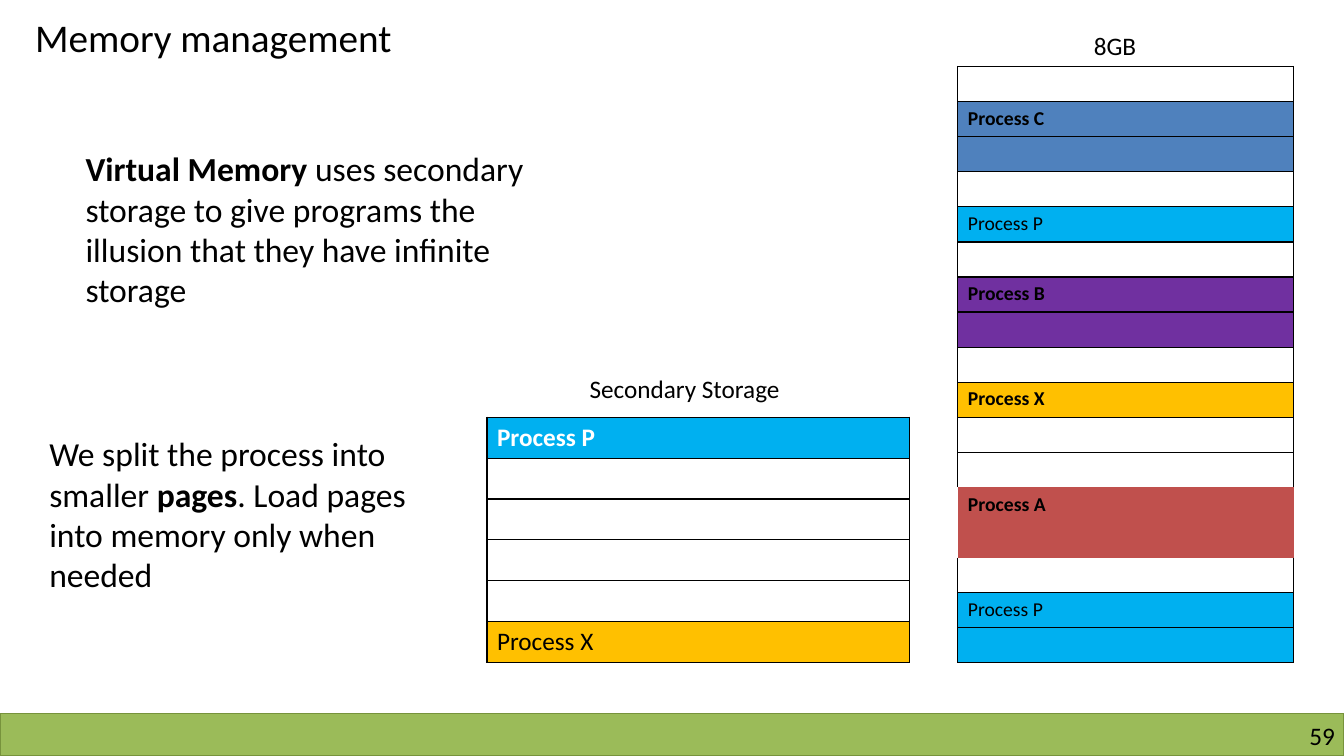
from dataclasses import dataclass

from lxml.etree import SubElement
from pptx import Presentation
from pptx.dml.color import RGBColor
from pptx.enum.shapes import MSO_SHAPE
from pptx.enum.text import PP_ALIGN
from pptx.oxml.ns import qn
from pptx.util import Inches, Pt


@dataclass(frozen=True)
class Theme:
    """Colours, font and type sizes of the slide."""
    font: str = "Calibri"
    title: int = 28
    body: int = 24
    label: int = 18
    memory: int = 14
    black: str = "000000"
    white: str = "FFFFFF"
    green: str = "9BBB59"
    dark_green: str = "77933C"
    blue: str = "4F81BD"
    sky: str = "00B0F0"
    purple: str = "7030A0"
    amber: str = "FFC000"
    red: str = "C0504D"


THEME = Theme()
BORDER_SIDES = {"left": "a:lnL", "right": "a:lnR", "top": "a:lnT", "bottom": "a:lnB"}


def write_run(paragraph, text, size=THEME.label, color=THEME.black, bold=False):
    """Add one formatted run of text to a paragraph."""
    run = paragraph.add_run()
    run.text = text
    run.font.name = THEME.font
    run.font.size = Pt(size)
    run.font.bold = bold
    run.font.color.rgb = RGBColor.from_string(color)


def add_text(slide, box, runs, size=THEME.label, align=PP_ALIGN.LEFT, inset=True):
    """Add a wrapped text box holding (text, bold) runs."""
    frame = slide.shapes.add_textbox(*map(Inches, box)).text_frame
    frame.word_wrap = True
    if not inset:
        frame.margin_left = frame.margin_right = 0
        frame.margin_top = frame.margin_bottom = 0
    paragraph = frame.paragraphs[0]
    paragraph.alignment = align
    for text, bold in runs:
        write_run(paragraph, text, size=size, bold=bold)


def add_footer(slide):
    """Add the green band along the bottom edge."""
    band = slide.shapes.add_shape(
        MSO_SHAPE.RECTANGLE, Inches(0), Inches(7.08), Inches(13.33), Inches(0.42))
    band.shadow.inherit = False
    band.fill.solid()
    band.fill.fore_color.rgb = RGBColor.from_string(THEME.green)
    band.line.color.rgb = RGBColor.from_string(THEME.dark_green)
    band.line.width = Pt(1)


def set_borders(cell, hidden):
    """Draw black cell borders except on the hidden sides."""
    properties = cell._tc.get_or_add_tcPr()
    for side, tag in BORDER_SIDES.items():
        line = SubElement(properties, qn(tag), w=str(Pt(1)))
        if side in hidden:
            SubElement(line, qn("a:noFill"))
        else:
            fill = SubElement(line, qn("a:solidFill"))
            SubElement(fill, qn("a:srgbClr"), val=THEME.black)


def hidden_sides(rows, index):
    """Return the sides without a border: all around borderless red rows."""
    def is_open(position):
        return 0 <= position < len(rows) and rows[position][1] == THEME.red

    if is_open(index):
        return set(BORDER_SIDES)
    neighbours = {"top": index - 1, "bottom": index + 1}
    return {side for side, position in neighbours.items() if is_open(position)}


def add_storage(slide, box, rows, size):
    """Add a one-column table of (text, fill, text format) rows."""
    frame = slide.shapes.add_table(len(rows), 1, *map(Inches, box))
    table = frame.table
    table.first_row = table.horz_banding = False
    for index, (text, fill, text_format) in enumerate(rows):
        table.rows[index].height = Inches(box[3] / len(rows))
        cell = table.cell(index, 0)
        set_borders(cell, hidden_sides(rows, index))
        cell.fill.solid()
        cell.fill.fore_color.rgb = RGBColor.from_string(fill)
        paragraph = cell.text_frame.paragraphs[0]
        if text:
            write_run(paragraph, text, size=size, **text_format)
        else:
            SubElement(paragraph._p, qn("a:endParaRPr"), sz=str(size * 100))


def main():
    """Build the memory management slide."""
    presentation = Presentation()
    presentation.slide_width = Inches(13.33)
    presentation.slide_height = Inches(7.5)
    slide = presentation.slides.add_slide(presentation.slide_layouts[6])

    bold = {"bold": True}
    free = ("", THEME.white, {})
    memory_rows = [
        free,
        ("Process C", THEME.blue, bold),
        ("", THEME.blue, {}),
        free,
        ("Process P", THEME.sky, {}),
        free,
        ("Process B", THEME.purple, bold),
        ("", THEME.purple, {}),
        free,
        ("Process X", THEME.amber, bold),
        free,
        free,
        ("Process A", THEME.red, bold),
        ("", THEME.red, {}),
        free,
        ("Process P", THEME.sky, {}),
        ("", THEME.sky, {}),
    ]
    secondary_rows = [
        ("Process P", THEME.sky, {"bold": True, "color": THEME.white}),
        *[free] * 4,
        ("Process X", THEME.amber, {}),
    ]

    add_footer(slide)
    add_text(slide, (10.17, 7.15, 3.07, 0.3), [("59", False)],
             align=PP_ALIGN.RIGHT, inset=False)
    add_text(slide, (0.25, 0.08, 6.42, 0.57), [("Memory management", False)],
             size=THEME.title)
    add_storage(slide, (9.5, 0.66, 3.33, 5.92), memory_rows, THEME.memory)
    add_text(slide, (10.75, 0.25, 0.71, 0.4), [("8GB", False)])
    add_text(slide, (0.75, 1.42, 4.75, 1.72), [
        ("Virtual Memory ", True),
        ("uses secondary storage to give programs the illusion "
         "that they have infinite storage", False),
    ], size=THEME.body)
    add_storage(slide, (4.83, 4.14, 4.19, 2.43), secondary_rows, THEME.label)
    add_text(slide, (5.75, 3.65, 2.36, 0.4), [("Secondary Storage", False)])
    add_text(slide, (0.39, 4.25, 3.75, 2.12), [
        ("We split the process into smaller ", False),
        ("pages", True),
        (". Load pages into memory only when needed", False),
    ], size=THEME.body)

    presentation.save("out.pptx")


if __name__ == "__main__":
    main()
